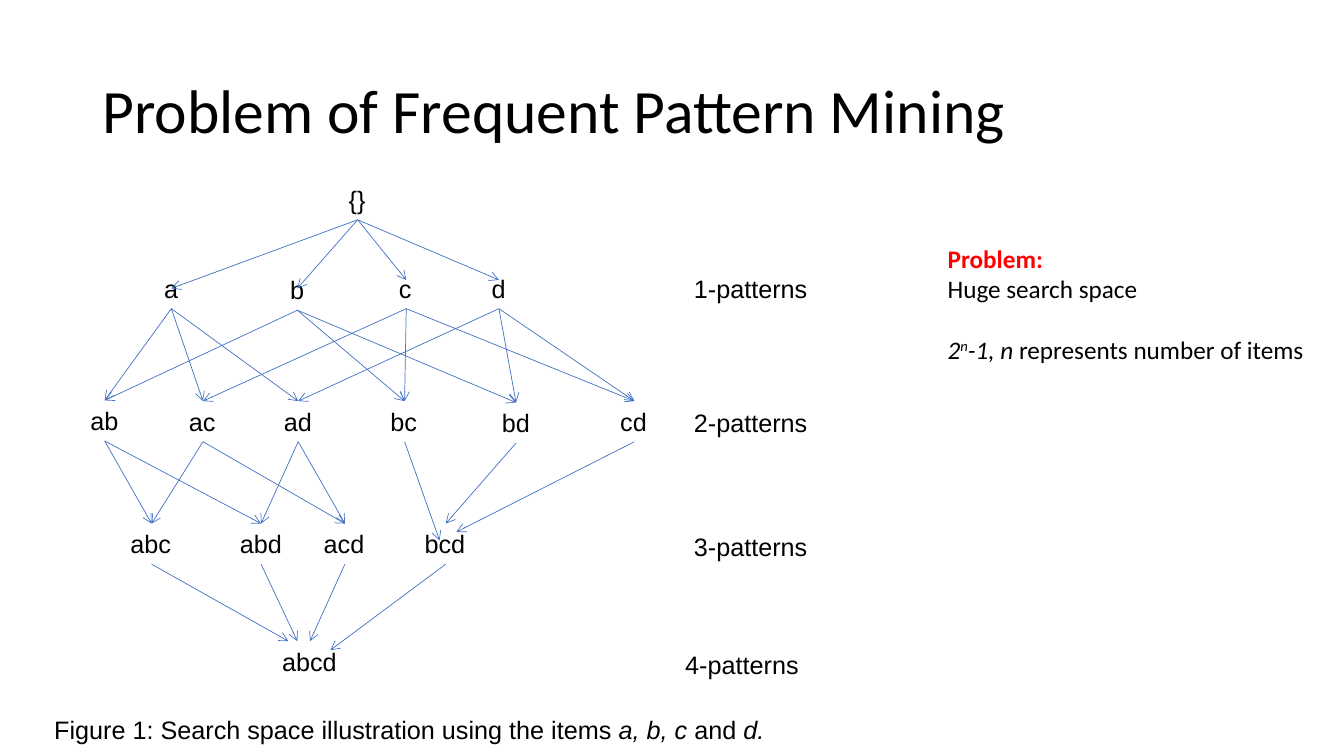
import dataclasses
import itertools

import pptx
import pptx.dml.color
import pptx.enum.shapes
import pptx.enum.text
import pptx.oxml
import pptx.oxml.ns
import pptx.util

Pt = pptx.util.Pt


@dataclasses.dataclass(frozen=True)
class Theme:
    ink: str = "000000"
    alert: str = "FF0000"
    arrow: str = "4472C4"
    title_size: float = 44
    body_size: float = 18
    arrow_width: float = 0.5
    title_font: str = "Calibri"
    label_font: str = "Arial"


THEME = Theme()
NODE_HEIGHT = 29
NODE_WIDTHS = [27, 24.5, 34.5, 44.5, 54]
NODES = {
    "": (255.5, 128),
    "a": (122.4, 191.5), "b": (212.4, 192.6), "c": (290.2, 191.5), "d": (356.4, 191.5),
    "ab": (74.8, 286), "ac": (145, 286.5), "ad": (213, 286.5),
    "bc": (289, 286.5), "bd": (368.6, 287.5), "cd": (453.2, 286.5),
    "abc": (108.3, 374), "abd": (186.5, 374),
    "acd": (246.4, 374), "bcd": (318.4, 374),
    "abcd": (221.4, 458),
}
UNDRAWN = {("bc", "abc"), ("bd", "abd"), ("cd", "acd")}
FREE_ENDS = {
    ("", "a"): (122.4, 206), ("", "b"): (212.4, 206),
    ("", "c"): (290.2, 200), ("", "d"): (356.4, 200),
    ("bc", "bcd"): (314, 386), ("cd", "bcd"): (326, 380),
    ("abc", "abcd"): (206, 458), ("abd", "abcd"): (212.4, 458),
    ("bcd", "abcd"): (236, 464.4),
}
LEVELS = [
    ("1-patterns", 488.6, 191.5),
    ("2-patterns", 488.6, 287.5),
    ("3-patterns", 488.6, 376),
    ("4-patterns", 482.4, 460),
]


def apply(target, values):
    for name, value in values.items():
        setattr(target, name, value)


def add_span(para, text, color=THEME.ink, raised=False, **values):
    span = para.add_run()
    span.text = text
    apply(span.font, values)
    span.font.color.rgb = pptx.dml.color.RGBColor.from_string(color)
    if raised:
        span.font._element.set("baseline", "30000")


def add_title(page, text):
    title = page.shapes.title
    apply(title, {"left": Pt(66), "top": Pt(28.8), "width": Pt(828), "height": Pt(104.4)})
    apply(title.text_frame, {
        "word_wrap": True,
        "auto_size": pptx.enum.text.MSO_AUTO_SIZE.NONE,
        "vertical_anchor": pptx.enum.text.MSO_ANCHOR.MIDDLE,
    })
    para = title.text_frame.paragraphs[0]
    apply(para, {"alignment": pptx.enum.text.PP_ALIGN.LEFT, "line_spacing": 0.9})
    add_span(para, text, name=THEME.title_font, size=Pt(THEME.title_size))


def add_text(page, left, top, width, height, lines, font=THEME.label_font):
    box = page.shapes.add_textbox(Pt(left), Pt(top), Pt(width), Pt(height))
    frame = box.text_frame
    apply(frame, {
        "word_wrap": False,
        "auto_size": pptx.enum.text.MSO_AUTO_SIZE.SHAPE_TO_FIT_TEXT,
    })
    for index, spans in enumerate(lines):
        para = frame.add_paragraph() if index else frame.paragraphs[0]
        for text, values in spans:
            add_span(para, text, name=font, size=Pt(THEME.body_size), **values)
    return box


def add_node(page, items):
    center, top = NODES[items]
    width = NODE_WIDTHS[len(items)]
    return add_text(page, center - width / 2, top, width, NODE_HEIGHT,
                    [[(items or "{}", {})]])


def add_arrow(page, parent, child, free_end=None):
    x, y = free_end or (0, 0)
    arrow = page.shapes.add_connector(
        pptx.enum.shapes.MSO_CONNECTOR.STRAIGHT, Pt(0), Pt(0), Pt(x), Pt(y))
    arrow.begin_connect(parent, 2)
    if free_end is None:
        arrow.end_connect(child, 0)
    arrow.line.color.rgb = pptx.dml.color.RGBColor.from_string(THEME.arrow)
    arrow.line.width = Pt(THEME.arrow_width)
    head = pptx.oxml.parse_xml(
        f'<a:tailEnd {pptx.oxml.ns.nsdecls("a")} type="arrow"/>')
    arrow.line._get_or_add_ln().append(head)
    arrow._element.spPr.append(
        pptx.oxml.parse_xml(f'<a:effectLst {pptx.oxml.ns.nsdecls("a")}/>'))


def add_lattice(page):
    boxes = {items: add_node(page, items) for items in NODES}
    for parent, child in itertools.product(NODES, repeat=2):
        one_more = len(child) == len(parent) + 1 and set(parent) < set(child)
        if one_more and (parent, child) not in UNDRAWN:
            add_arrow(page, boxes[parent], boxes[child], FREE_ENDS.get((parent, child)))


def add_problem(page):
    italic = {"italic": True}
    box = add_text(page, 669.8, 170, 273, 94.3, [
        [("Problem:", {"bold": True, "color": THEME.alert})],
        [("Huge search space", {})],
        [("2", italic), ("n", {"italic": True, "raised": True}),
         ("-1, n ", italic), ("represents number of items", {})],
    ], THEME.title_font)
    box.text_frame.paragraphs[2].space_before = Pt(22)


def add_caption(page):
    italic = {"italic": True}
    add_text(page, 31.7, 507, 526, NODE_HEIGHT, [[
        ("Figure 1: Search space illustration using the items ", {}),
        ("a, b, c ", italic), ("and", {}), (" d.", italic),
    ]])


def main():
    deck = pptx.Presentation()
    apply(deck, {"slide_width": Pt(960), "slide_height": Pt(540)})
    page = deck.slides.add_slide(deck.slide_layouts.get_by_name("Title Only"))
    add_title(page, "Problem of Frequent Pattern Mining")
    add_lattice(page)
    for text, left, top in LEVELS:
        add_text(page, left, top, 96.5, NODE_HEIGHT, [[(text, {})]])
    add_caption(page)
    add_problem(page)
    deck.save("out.pptx")


if __name__ == "__main__":
    main()
